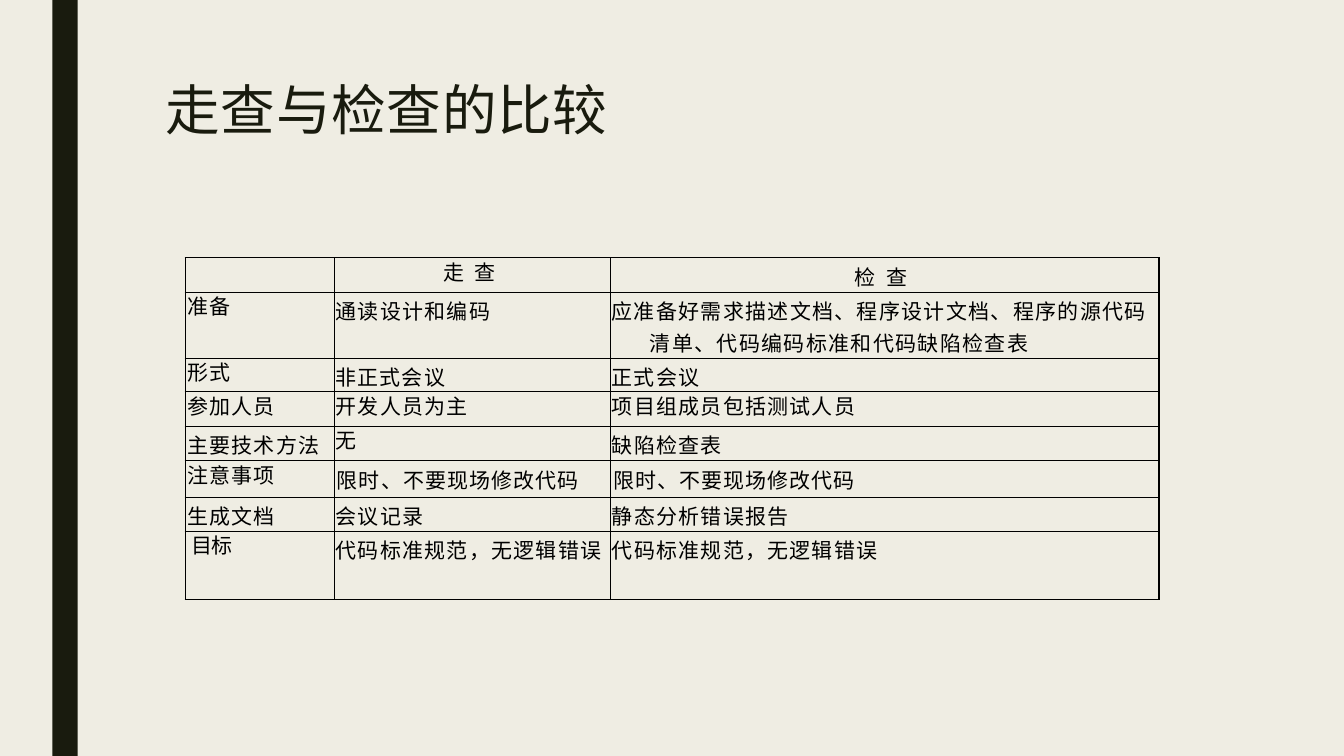
from dataclasses import dataclass
from typing import NamedTuple

from lxml.etree import SubElement
from pptx import Presentation
from pptx.dml.color import RGBColor as RGB
from pptx.enum.shapes import MSO_SHAPE as SHAPE
from pptx.oxml.ns import qn
from pptx.util import Cm, Pt


@dataclass(frozen=True)
class Theme:
    """Colours, font and type sizes of the slide."""
    paper: RGB = RGB(0xEF, 0xED, 0xE3)
    dark: RGB = RGB(0x19, 0x1B, 0x0E)
    ink: RGB = RGB(0, 0, 0)
    font: str = "Noto Sans CJK SC"
    title: float = 39
    body: float = 15
    empty: float = 2
    tight: float = 18.1


class Entry(NamedTuple):
    """A table cell: wording, left indent, letter spacing, line spacing, top margin and hang."""
    text: str
    indent: float = 0.03
    spacing: float = 0.9
    leading: object = 1.0
    top: float = 0.08
    hang: float = 0


THEME = Theme()
TIGHT = Pt(THEME.tight)
COLUMNS = (3.76, 6.96, 13.82)
HEIGHTS = (0.86, 1.66, 0.84, 0.86, 0.88, 0.91, 0.86, 1.72)
BORDERS = {"lnL": 1, "lnR": 1, "lnT": 0.25, "lnB": 0.25}
ROWS = (
    (Entry(""),
     Entry("走 查", 2.74, 2.1, TIGHT, 0.11),
     Entry("检 查", 6.15, 2.1, top=0.11)),
    (Entry("准备", 0.05, 0.6, TIGHT),
     Entry("通读设计和编码"),
     Entry("应准备好需求描述文档、程序设计文档、程序的源代码 清单、代码编码标准和代码缺陷检查表",
           0.99, 0.95, 1.06, 0.04, -0.97)),
    (Entry("形式", 0.05, 0.6, TIGHT),
     Entry("非正式会议", spacing=0.8),
     Entry("正式会议", spacing=0.8)),
    (Entry("参加人员", 0.05, 0.8, TIGHT),
     Entry("开发人员为主", leading=TIGHT),
     Entry("项目组成员包括测试人员", leading=TIGHT)),
    (Entry("主要技术方法", 0.05),
     Entry("无", spacing=0.2, leading=TIGHT),
     Entry("缺陷检查表")),
    (Entry("注意事项", 0.05, leading=TIGHT),
     Entry("限时、不要现场修改代码", 0.06, 0.8),
     Entry("限时、不要现场修改代码", 0.06, 0.8)),
    (Entry("生成文档", 0.05, 0.8),
     Entry("会议记录"),
     Entry("静态分析错误报告")),
    (Entry("目标", 0.15, -0.5, TIGHT),
     Entry("代码标准规范，无逻辑错误"),
     Entry("代码标准规范，无逻辑错误")),
)


def set_all(obj, values):
    """Set the attributes of obj from a dict."""
    for name, value in values.items():
        setattr(obj, name, value)


def write(p, entry, size, color):
    """Write one entry into a paragraph."""
    if not entry.text:
        p._p.get_or_add_endParaRPr().set("sz", str(int(THEME.empty * 100)))
        return
    p.line_spacing = entry.leading
    pPr = p._p.get_or_add_pPr()
    pPr.set("marL", str(Cm(entry.indent)))
    pPr.set("indent", str(Cm(entry.hang)))
    r = p.add_run()
    r.text = entry.text
    set_all(r.font, {"size": Pt(size), "name": THEME.font})
    r.font.color.rgb = color
    rPr = r._r.get_or_add_rPr()
    rPr.set("spc", str(round(entry.spacing * 100)))
    SubElement(rPr, qn("a:ea"), typeface=THEME.font)


def add_panel(s, box, color):
    """Fill the box with a plain rectangle."""
    sp = s.shapes.add_shape(SHAPE.RECTANGLE, *map(Cm, box))
    sp.shadow.inherit = False
    sp.fill.solid()
    sp.fill.fore_color.rgb = color
    sp.line.fill.background()


def add_title(s, box, text):
    """Place the slide title in the box."""
    tf = s.shapes.add_textbox(*map(Cm, box)).text_frame
    set_all(tf, {"word_wrap": True, "margin_left": 0, "margin_right": 0,
                 "margin_top": 0, "margin_bottom": 0})
    write(tf.paragraphs[0], Entry(text, spacing=0.6, leading=0.97), THEME.title, THEME.dark)


def style_cell(cell, top):
    """Give a cell its margins, borders and clear fill."""
    set_all(cell, {"margin_left": 0, "margin_right": 0,
                   "margin_top": Cm(top), "margin_bottom": 0})
    tcPr = cell._tc.get_or_add_tcPr()
    for side, width in BORDERS.items():
        ln = SubElement(tcPr, qn(f"a:{side}"), w=str(Pt(width)))
        SubElement(SubElement(ln, qn("a:solidFill")), qn("a:srgbClr"), val=str(THEME.ink))
    cell.fill.background()


def add_comparison(s, left, top):
    """Place the comparison table with its corner at left, top."""
    box = (left, top, sum(COLUMNS), sum(HEIGHTS))
    table = s.shapes.add_table(len(ROWS), len(COLUMNS), *map(Cm, box)).table
    set_all(table, {"first_row": False, "horz_banding": False})
    for column, width in zip(table.columns, COLUMNS):
        column.width = Cm(width)
    for row, height, entries in zip(table.rows, HEIGHTS, ROWS):
        row.height = Cm(height)
        for cell, entry in zip(row.cells, entries):
            style_cell(cell, entry.top)
            write(cell.text_frame.paragraphs[0], entry, THEME.body, THEME.ink)


def main():
    """Build the slide and save it."""
    prs = Presentation()
    set_all(prs, {"slide_width": Cm(33.87), "slide_height": Cm(19.05)})
    s = prs.slides.add_slide(prs.slide_layouts[6])
    add_panel(s, (0, 0, 33.87, 19.05), THEME.paper)
    add_comparison(s, 4.67, 6.48)
    add_title(s, (4.14, 2, 11.3, 1.68), "走查与检查的比较")
    add_panel(s, (1.32, 0, 0.64, 19.05), THEME.dark)
    prs.save("out.pptx")


if __name__ == "__main__":
    main()
